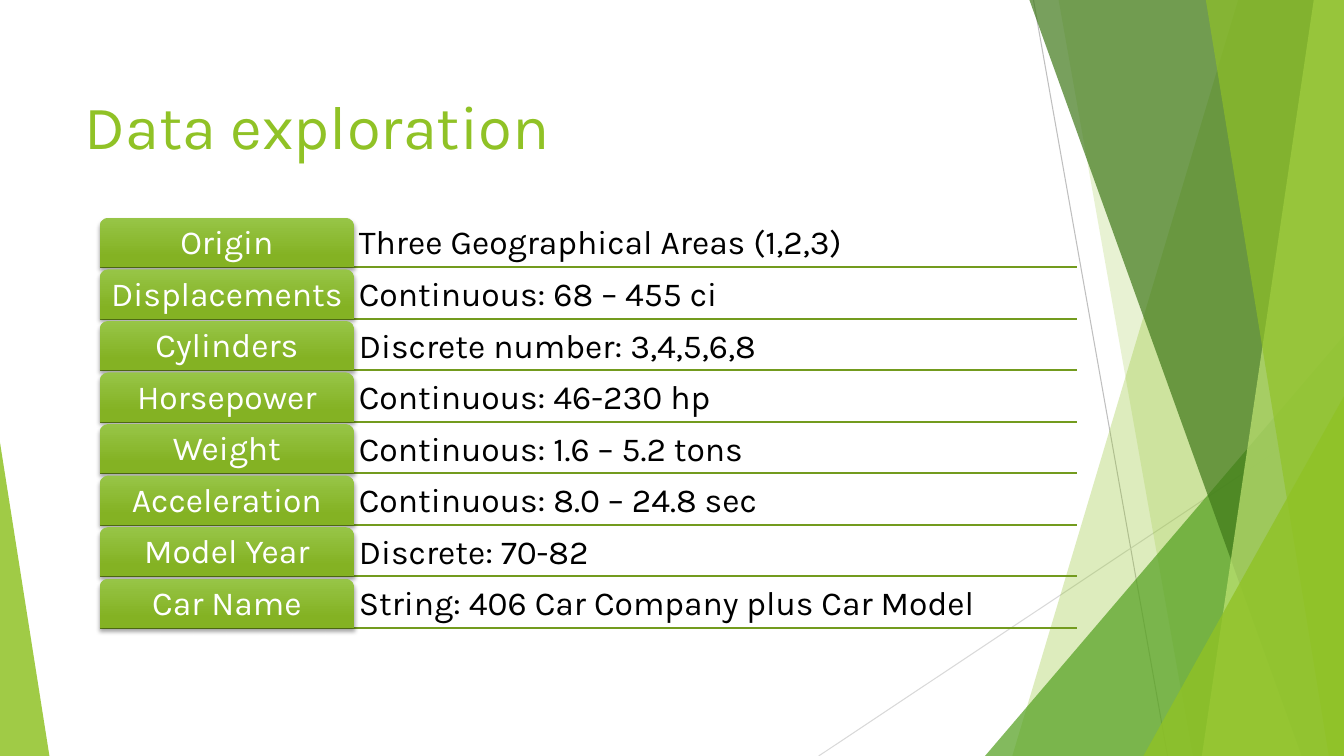
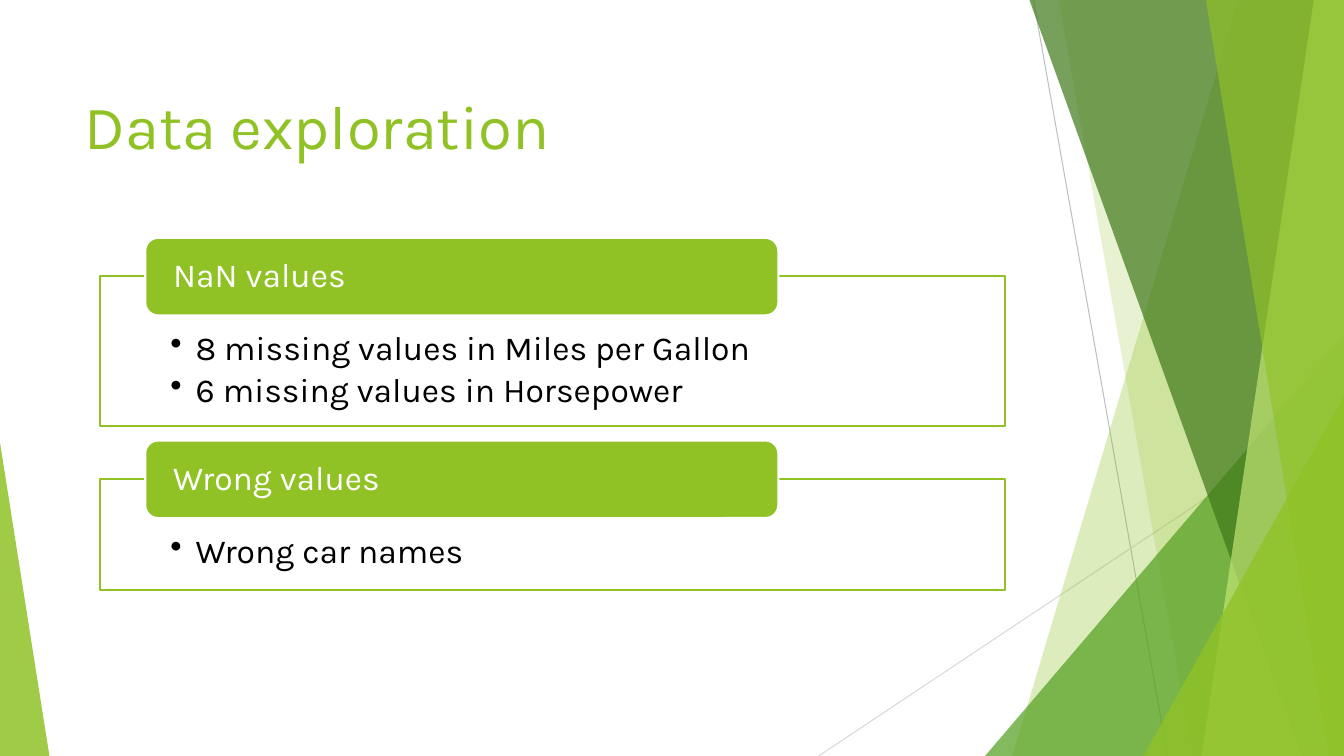
"""Build two data exploration slides over a shared green backdrop."""
from dataclasses import dataclass
from typing import NamedTuple

from lxml import etree
from pptx import Presentation
from pptx import util as u
from pptx.dml import color as dml
from pptx.enum import shapes, text
from pptx.oxml import ns

Inches = u.Inches


@dataclass(frozen=True)
class Theme:
    font: str = "Karla"
    title_size: int = 44
    body_size: int = 24
    line_spacing: float = 0.9
    bullet_gap: int = 4
    border: float = 1.5
    hairline: float = 0.75
    green: str = "90C226"
    leaf: str = "54A021"
    forest: str = "3F7819"
    lime: str = "C0E474"
    rule: str = "739B1E"
    tab_top: str = "97C547"
    tab_bottom: str = "84B223"
    grey: str = "BFBFBF"
    pale_grey: str = "D9D9D9"
    black: str = "000000"
    white: str = "FFFFFF"


class Box(NamedTuple):
    left: float
    top: float
    width: float
    height: float


class Band(NamedTuple):
    top_left: float
    bottom_left: float
    color: str
    opacity: int


class Triangle(NamedTuple):
    box: Box
    apex: float
    color: str
    opacity: int


class Field(NamedTuple):
    name: str
    values: str


class Panel(NamedTuple):
    heading: str
    bullets: tuple[str, ...]
    height: float


THEME = Theme()
WIDTH, HEIGHT = 13.33, 7.5
TITLE_BOX = Box(0.74, 0.67, 9.4, 1.14)
LEFT = 0.99

BACKDROP = (
    Band(12.28, 10.04, THEME.green, 30),
    Band(10.5, 11.83, THEME.green, 20),
    Triangle(Box(9.77, 3.33, 3.56, 4.17), 1, THEME.leaf, 72),
    Band(10.21, 12.91, THEME.forest, 70),
    Band(13.03, 11.92, THEME.lime, 70),
    Band(11.96, 13.18, THEME.green, 65),
    Triangle(Box(11.34, 3.93, 1.99, 3.57), 1, THEME.green, 80),
    Triangle(Box(0, 4.39, 0.49, 3.11), 0, THEME.green, 85),
)

FIELDS = (
    Field("Origin", "Three Geographical Areas (1,2,3)"),
    Field("Displacements", "Continuous: 68 – 455 ci"),
    Field("Cylinders", "Discrete number: 3,4,5,6,8"),
    Field("Horsepower", "Continuous: 46-230 hp"),
    Field("Weight", "Continuous: 1.6 – 5.2 tons"),
    Field("Acceleration", "Continuous: 8.0 – 24.8 sec"),
    Field("Model Year", "Discrete: 70-82"),
    Field("Car Name", "String: 406 Car Company plus Car Model"),
)

PANELS = (
    Panel("NaN values", ("8 missing values in Miles per Gallon",
                         "6 missing values in Horsepower"), 1.49),
    Panel("Wrong values", ("Wrong car names",), 1.1),
)


def rgb(value: str) -> dml.RGBColor:
    return dml.RGBColor.from_string(value)


def lengths(box: Box) -> list[u.Length]:
    return [Inches(value) for value in box]


def fill_solid(shape, color: str, opacity: int = 100) -> None:
    shape.fill.solid()
    shape.fill.fore_color.rgb = rgb(color)
    if opacity < 100:
        node = shape.element.spPr.find(f"{ns.qn('a:solidFill')}/{ns.qn('a:srgbClr')}")
        etree.SubElement(node, ns.qn("a:alpha"), val=str(opacity * 1000))


def set_outline(shape, color: str | None = None) -> None:
    if color is None:
        shape.line.fill.background()
    else:
        shape.line.color.rgb = rgb(color)
        shape.line.width = u.Pt(THEME.border)


def add_shape(slide, kind: shapes.MSO_SHAPE, box: Box, outline: str | None = None):
    shape = slide.shapes.add_shape(kind, *lengths(box))
    set_outline(shape, outline)
    shape.shadow.inherit = False
    return shape


def add_line(slide, start: tuple[float, float], end: tuple[float, float],
             color: str, width: float):
    line = slide.shapes.add_connector(
        shapes.MSO_CONNECTOR.STRAIGHT, *(Inches(value) for value in (*start, *end)))
    line.line.color.rgb = rgb(color)
    line.line.width = u.Pt(width)
    etree.SubElement(line.element.spPr, ns.qn("a:effectLst"))
    return line


def set_frame(shape, insets: tuple[float, float, float, float],
              anchor: text.MSO_ANCHOR) -> None:
    frame = shape.text_frame
    frame.word_wrap = True
    frame.vertical_anchor = anchor
    frame.margin_left, frame.margin_top, frame.margin_right, frame.margin_bottom = (
        Inches(value) for value in insets)


def write(paragraph, words: str, color: str, size: int = THEME.body_size,
          align: text.PP_ALIGN = text.PP_ALIGN.LEFT,
          spacing: float = THEME.line_spacing) -> None:
    paragraph.alignment = align
    paragraph.line_spacing = spacing
    run = paragraph.add_run()
    run.text = words
    run.font.name = THEME.font
    run.font.size = u.Pt(size)
    run.font.color.rgb = rgb(color)


def set_bullet(paragraph) -> None:
    paragraph.level = 1
    properties = paragraph._p.get_or_add_pPr()
    properties.set("marL", str(Inches(0.25)))
    properties.set("indent", str(Inches(-0.25)))
    etree.SubElement(properties, ns.qn("a:buChar"), char="•")


def add_band(slide, band: Band):
    builder = slide.shapes.build_freeform(Inches(band.top_left), 0)
    corners = ((WIDTH, 0), (WIDTH, HEIGHT), (band.bottom_left, HEIGHT))
    builder.add_line_segments([(Inches(x), Inches(y)) for x, y in corners], close=True)
    shape = builder.convert_to_shape()
    set_outline(shape)
    shape.shadow.inherit = False
    fill_solid(shape, band.color, band.opacity)
    return shape


def add_triangle(slide, triangle: Triangle):
    shape = add_shape(slide, shapes.MSO_SHAPE.ISOSCELES_TRIANGLE, triangle.box)
    shape.adjustments[0] = triangle.apex
    fill_solid(shape, triangle.color, triangle.opacity)
    return shape


def move_backdrop_to_layout(slide, layout) -> None:
    parts = [
        add_line(slide, (10.25, 0), (11.58, HEIGHT), THEME.grey, THEME.hairline),
        add_line(slide, (WIDTH, 4.03), (8.12, HEIGHT), THEME.pale_grey, THEME.hairline),
    ]
    for item in BACKDROP:
        draw = add_band if isinstance(item, Band) else add_triangle
        parts.append(draw(slide, item))
    for index, part in enumerate(parts):
        part.element.xpath(".//p:cNvPr")[0].set("id", str(100 + index))
        layout.shapes.element.insert(2 + index, part.element)


def add_titled_slide(presentation, layout, title: str):
    slide = presentation.slides.add_slide(layout)
    shape = slide.shapes.title
    shape.left, shape.top, shape.width, shape.height = lengths(TITLE_BOX)
    set_frame(shape, (0.1, 0.05, 0.1, 0.05), text.MSO_ANCHOR.MIDDLE)
    write(shape.text_frame.paragraphs[0], title, THEME.green, THEME.title_size, spacing=1.0)
    return slide


def style_tab(tab) -> None:
    tab.adjustments[0], tab.adjustments[1] = 0.17, 0
    tab.fill.gradient()
    tab.fill.gradient_angle = 270
    stops = zip(tab.fill.gradient_stops, ((0, THEME.tab_top), (0.78, THEME.tab_bottom)))
    for stop, (position, color) in stops:
        stop.position = position
        stop.color.rgb = rgb(color)
    effects = tab.element.spPr.find(ns.qn("a:effectLst"))
    shadow = etree.SubElement(
        effects, ns.qn("a:outerShdw"), blurRad=str(u.Pt(3)), dist=str(u.Pt(2)),
        dir="5400000", algn="ctr", rotWithShape="0")
    shade = etree.SubElement(shadow, ns.qn("a:srgbClr"), val=THEME.black)
    etree.SubElement(shade, ns.qn("a:alpha"), val="35000")


def add_fields(slide) -> None:
    first_top, last_top, height = 2.16, 5.74, 0.49
    tab_width, values_width = 2.52, 7.17
    pitch = (last_top - first_top) / (len(FIELDS) - 1)
    split = LEFT + tab_width
    insets = (0.05,) * 4
    for index, field in enumerate(FIELDS):
        top = first_top + index * pitch
        bottom = top + height
        add_line(slide, (LEFT, bottom), (split + values_width, bottom),
                 THEME.rule, THEME.border)
        values = slide.shapes.add_textbox(*lengths(Box(split, top, values_width, height)))
        set_frame(values, insets, text.MSO_ANCHOR.BOTTOM)
        write(values.text_frame.paragraphs[0], field.values, THEME.black)
        tab = add_shape(slide, shapes.MSO_SHAPE.ROUND_2_SAME_RECTANGLE,
                        Box(LEFT, top, tab_width, height))
        style_tab(tab)
        set_frame(tab, insets, text.MSO_ANCHOR.MIDDLE)
        write(tab.text_frame.paragraphs[0], field.name, THEME.white,
              align=text.PP_ALIGN.CENTER)


def add_panels(slide) -> None:
    top, gap, overlap = 2.74, 0.52, 0.38
    for panel in PANELS:
        body = add_shape(slide, shapes.MSO_SHAPE.RECTANGLE,
                         Box(LEFT, top, 8.98, panel.height), THEME.green)
        fill_solid(body, THEME.white, 90)
        set_frame(body, (0.7, 0.55, 0.7, 0.19), text.MSO_ANCHOR.TOP)
        for index, words in enumerate(panel.bullets):
            frame = body.text_frame
            paragraph = frame.add_paragraph() if index else frame.paragraphs[0]
            set_bullet(paragraph)
            write(paragraph, words, THEME.black)
            paragraph.space_after = u.Pt(THEME.bullet_gap)
        heading = add_shape(slide, shapes.MSO_SHAPE.ROUNDED_RECTANGLE,
                            Box(1.44, top - overlap, 6.28, 0.77), THEME.white)
        fill_solid(heading, THEME.green)
        set_frame(heading, (0.24, 0, 0.24, 0), text.MSO_ANCHOR.MIDDLE)
        write(heading.text_frame.paragraphs[0], panel.heading, THEME.white)
        top += panel.height + gap


def main() -> None:
    presentation = Presentation()
    presentation.slide_width, presentation.slide_height = Inches(WIDTH), Inches(HEIGHT)
    layout = presentation.slide_layouts.get_by_name("Title Only")
    fields_slide = add_titled_slide(presentation, layout, "Data exploration")
    move_backdrop_to_layout(fields_slide, layout)
    add_fields(fields_slide)
    add_panels(add_titled_slide(presentation, layout, "Data exploration"))
    presentation.save("out.pptx")


if __name__ == "__main__":
    main()
